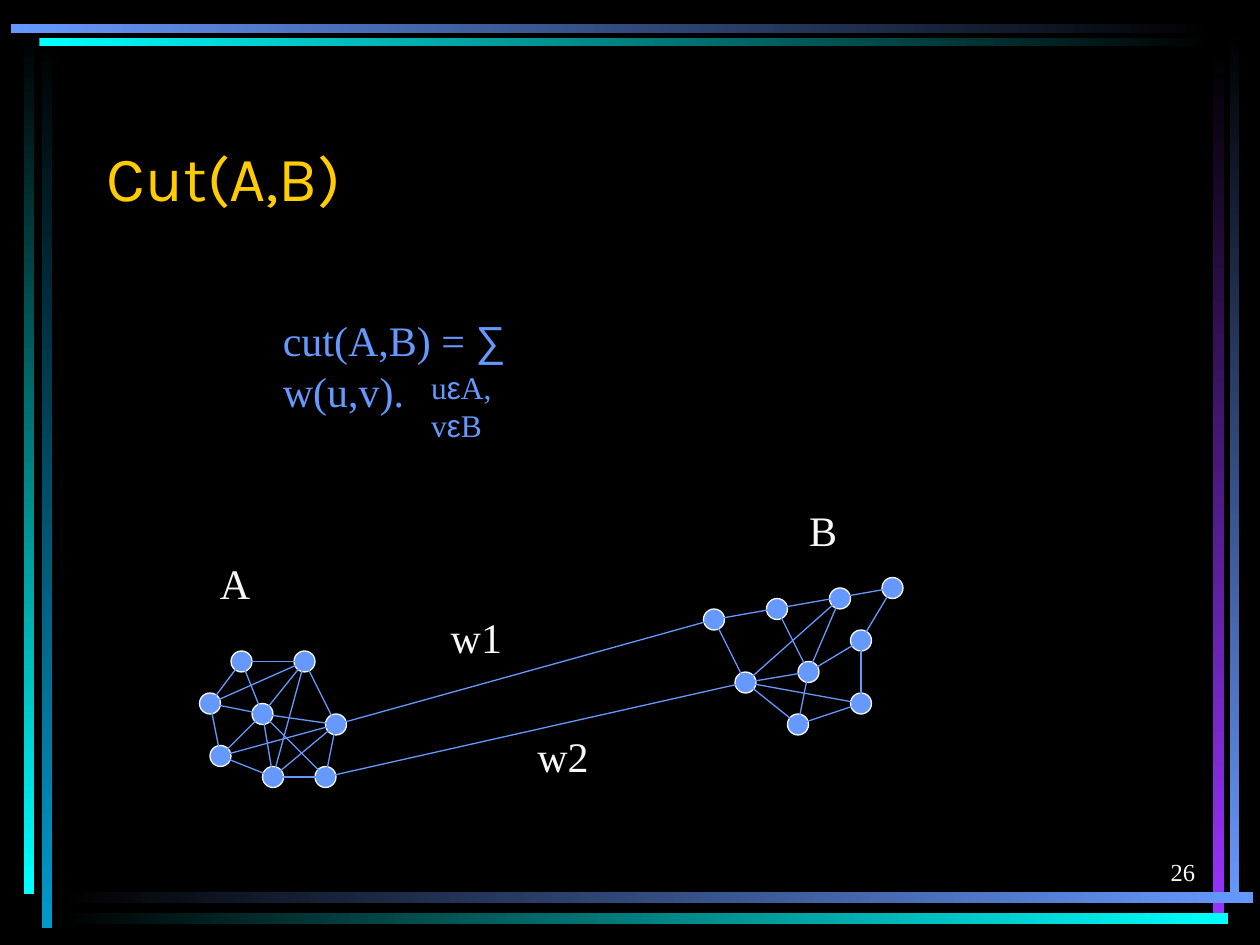
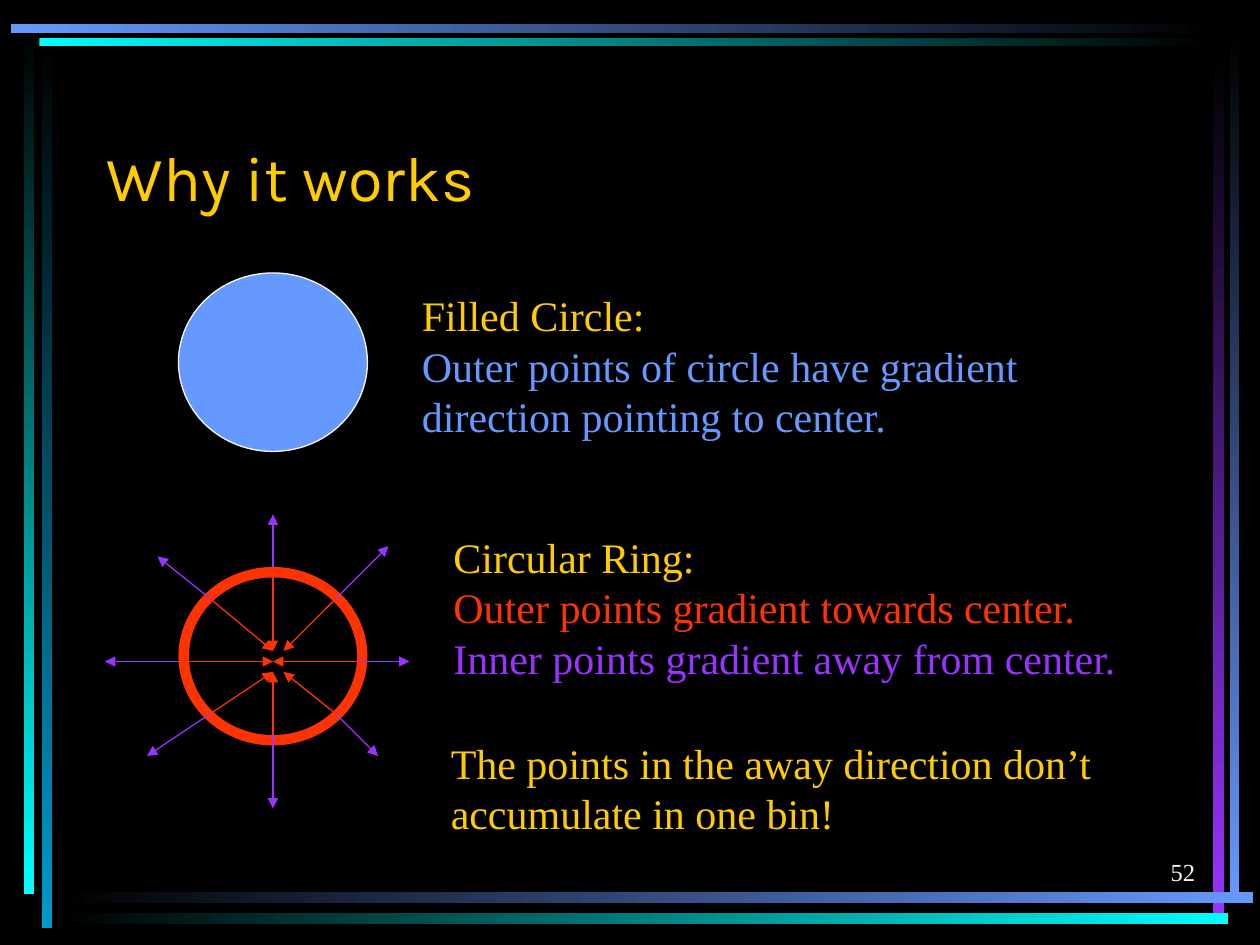
import itertools
import pptx
import pptx.dml.color
import pptx.enum.shapes
import pptx.enum.text
import pptx.oxml
import pptx.oxml.ns
import pptx.util

RGBColor = pptx.dml.color.RGBColor
MSO_SHAPE = pptx.enum.shapes.MSO_SHAPE
PP_ALIGN = pptx.enum.text.PP_ALIGN
MSO_ANCHOR = pptx.enum.text.MSO_ANCHOR

BLACK = RGBColor(0x00, 0x00, 0x00)
WHITE = RGBColor(0xF8, 0xF8, 0xF8)
BLUE = RGBColor(0x66, 0x99, 0xFF)
CYAN = RGBColor(0x00, 0xFF, 0xFF)
TEAL = RGBColor(0x00, 0x99, 0xCC)
PURPLE = RGBColor(0x99, 0x33, 0xFF)
YELLOW = RGBColor(0xFF, 0xCC, 0x00)
RED = RGBColor(0xFF, 0x33, 0x00)

BODY_FONT = "Times New Roman"
TITLE_FONT = "Karla"
SYMBOL_FONT = "Arial"
SYMBOLS = "∑ε"

PX = 9525
SLIDE_SIZE = (960, 720)
TITLE_BOX = (72, 64, 816, 104)
NUMBER_BOX = (720, 632, 200, 48)
NODE_SIZE = 16
HAIRLINE = 0.75

DOWN, RIGHT = 270, 0
BANDS = [
    ((32, 27, 8, 680), BLACK, TEAL, DOWN),
    ((18, 24, 8, 657), BLACK, CYAN, DOWN),
    ((937, 23, 7, 665), BLACK, BLUE, DOWN),
    ((924, 40, 9, 656), BLACK, PURPLE, DOWN),
    ((43, 680, 912, 8), BLACK, BLUE, RIGHT),
    ((43, 696, 893, 8), BLACK, CYAN, RIGHT),
    ((30, 29, 895, 6), CYAN, BLACK, RIGHT),
    ((8, 18, 918, 7), BLUE, BLACK, RIGHT),
]

NODES = {
    "a1": (184, 504), "a2": (232, 504), "a3": (256, 552), "a4": (248, 592),
    "a5": (208, 592), "a6": (168, 576), "a7": (160, 536), "a8": (200, 544),
    "b1": (544, 472), "b2": (592, 464), "b3": (640, 456), "b4": (680, 448),
    "b5": (656, 488), "b6": (656, 536), "b7": (608, 552), "b8": (616, 512),
    "b9": (568, 520),
}
EDGES = [
    "a1-a7", "a7-a6", "a6-a5", "a5-a4", "a3-a4", "a2-a3", "a1-a2", "a1-a8",
    "a7-a8", "a6-a8", "a8-a5", "a8-a3", "a8-a4", "a5-a3", "a8-a2", "a5-a2",
    "a7-a2", "a6-a3",
    "b1-b9", "b1-b4", "b4-b5", "b5-b6", "b9-b7", "b7-b8", "b2-b8", "b9-b8",
    "b8-b3", "b8-b5", "b6-b7", "b3-b9", "b9-b6",
    "a3-b1", "a4-b9",
]
CUT_TEXTS = [
    ((334, 461, 62, 48), 24, [("w1", WHITE)]),
    ((400, 552, 62, 48), 24, [("w2", WHITE)]),
    ((158, 420, 46, 48), 24, [("A", WHITE)]),
    ((607, 380, 44, 48), 24, [("B", WHITE)]),
    ((206, 235, 321, 48), 24, [("cut(A,B) = ∑", BLUE), ("w(u,v).", BLUE)]),
    ((319, 276, 109, 38), 18, [("uεA,", BLUE), ("vεB", BLUE)]),
]

FILLED_CIRCLE = (136, 208, 144, 136)
RING_OUTER = (136, 432, 144, 136)
RING_INNER = (144, 440, 128, 120)
OUTWARD = [
    ((208, 440), (208, 392)), ((208, 560), (208, 616)),
    ((136, 504), (80, 504)), ((272, 504), (312, 504)),
    ((256, 544), (288, 576)), ((160, 544), (112, 576)),
    ((160, 456), (120, 424)), ((248, 464), (296, 416)),
]
INWARD = [
    ((208, 432), (208, 496)), ((208, 560), (208, 512)),
    ((136, 504), (208, 504)), ((272, 504), (208, 504)),
    ((160, 544), (208, 512)), ((256, 456), (216, 496)),
    ((256, 544), (216, 512)), ((160, 456), (208, 496)),
]
CIRCLE_TEXTS = [
    ((312, 216, 478, 125), 24, [
        ("Filled Circle:", YELLOW),
        ("Outer points of circle have gradient", BLUE),
        ("direction pointing to center.", BLUE)]),
    ((336, 400, 530, 125), 24, [
        ("Circular Ring:", YELLOW),
        ("Outer points gradient towards center.", RED),
        ("Inner points gradient away from center.", PURPLE)]),
    ((334, 557, 512, 86), 24, [
        ("The points in the away direction don’t", YELLOW),
        ("accumulate in one bin!", YELLOW)]),
]


def emu(lengths):
    return [length * PX for length in lengths]


def add_text(slide, box, size, lines, font=BODY_FONT,
             align=PP_ALIGN.LEFT, anchor=MSO_ANCHOR.TOP):
    frame = slide.shapes.add_textbox(*emu(box)).text_frame
    frame.word_wrap = True
    frame.vertical_anchor = anchor
    for index, (line, color) in enumerate(lines):
        paragraph = frame.add_paragraph() if index else frame.paragraphs[0]
        paragraph.alignment = align
        for is_symbol, letters in itertools.groupby(line, lambda c: c in SYMBOLS):
            run = paragraph.add_run()
            run.text = "".join(letters)
            run.font.name = SYMBOL_FONT if is_symbol else font
            run.font.size = pptx.util.Pt(size)
            run.font.color.rgb = color


def add_band(slide, box, start, end, angle):
    band = slide.shapes.add_shape(MSO_SHAPE.RECTANGLE, *emu(box))
    band.shadow.inherit = False
    band.line.fill.background()
    band.fill.gradient()
    band.fill.gradient_angle = angle
    for stop, color in zip(band.fill.gradient_stops, (start, end)):
        stop.color.rgb = color


def add_ellipse(slide, box, fill, outline=None):
    ellipse = slide.shapes.add_shape(MSO_SHAPE.OVAL, *emu(box))
    ellipse.shadow.inherit = False
    ellipse.fill.solid()
    ellipse.fill.fore_color.rgb = fill
    if outline is None:
        ellipse.line.fill.background()
    else:
        ellipse.line.color.rgb = outline
        ellipse.line.width = pptx.util.Pt(HAIRLINE)


def add_line(slide, start, end, color, arrow=False):
    line = slide.shapes.add_connector(
        pptx.enum.shapes.MSO_CONNECTOR.STRAIGHT, *emu(start + end))
    line.line.color.rgb = color
    line.line.width = pptx.util.Pt(HAIRLINE)
    if arrow:
        head = pptx.oxml.ns.qn("a:tailEnd")
        line.line._get_or_add_ln().append(
            line._element.makeelement(head, {"type": "triangle"}))
    properties = line._element.spPr
    properties.append(properties.makeelement(pptx.oxml.ns.qn("a:effectLst"), {}))


def add_framed_slide(deck, title, number):
    slide = deck.slides.add_slide(deck.slide_layouts[6])
    for band in BANDS:
        add_band(slide, *band)
    add_text(slide, TITLE_BOX, 36, [(title, YELLOW)], font=TITLE_FONT,
             anchor=MSO_ANCHOR.BOTTOM)
    add_text(slide, NUMBER_BOX, 14, [(number, WHITE)],
             align=PP_ALIGN.RIGHT, anchor=MSO_ANCHOR.BOTTOM)
    return slide


def build_cut(deck):
    slide = add_framed_slide(deck, "Cut(A,B)", "26")
    for x, y in NODES.values():
        corner = (x - NODE_SIZE // 2, y - NODE_SIZE // 2)
        add_ellipse(slide, corner + (NODE_SIZE, NODE_SIZE), BLUE, WHITE)
    for edge in EDGES:
        start, end = edge.split("-")
        add_line(slide, NODES[start], NODES[end], BLUE)
    for text in CUT_TEXTS:
        add_text(slide, *text)


def build_why_it_works(deck):
    slide = add_framed_slide(deck, "Why it works", "52")
    add_ellipse(slide, FILLED_CIRCLE, BLUE, WHITE)
    add_ellipse(slide, RING_OUTER, RED)
    add_ellipse(slide, RING_INNER, BLACK)
    for rays, color in ((OUTWARD, PURPLE), (INWARD, RED)):
        for start, end in rays:
            add_line(slide, start, end, color, arrow=True)
    for text in CIRCLE_TEXTS:
        add_text(slide, *text)


def main():
    deck = pptx.Presentation()
    deck.slide_width, deck.slide_height = emu(SLIDE_SIZE)
    background = deck.slide_master.background.fill
    background.solid()
    background.fore_color.rgb = BLACK
    build_cut(deck)
    build_why_it_works(deck)
    deck.save("out.pptx")


if __name__ == "__main__":
    main()
